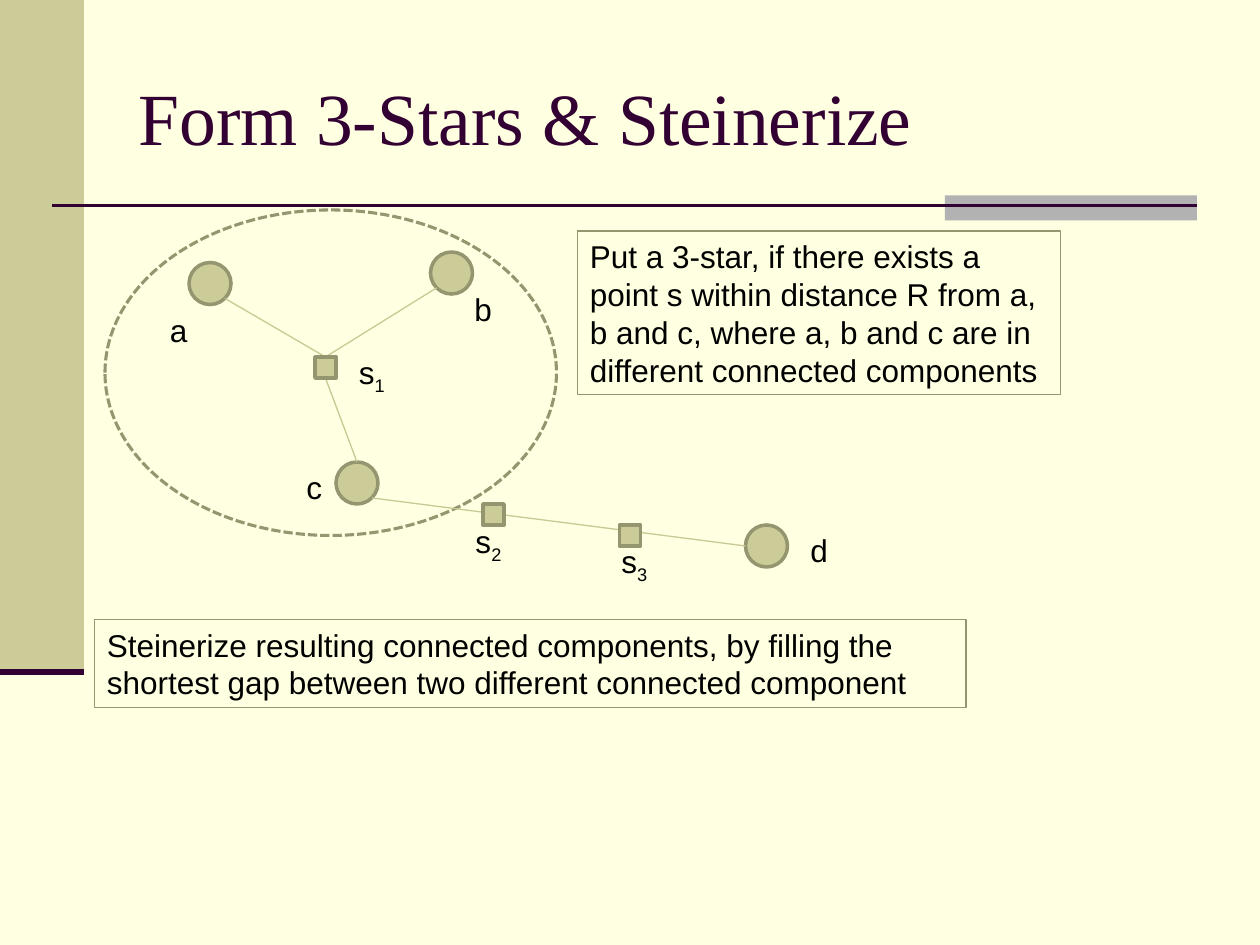
from dataclasses import dataclass

from lxml import etree
from pptx import Presentation
from pptx.dml.color import RGBColor
from pptx.enum.dml import MSO_LINE
from pptx.enum.shapes import MSO_CONNECTOR, MSO_SHAPE
from pptx.enum.text import MSO_ANCHOR, MSO_AUTO_SIZE, PP_ALIGN
from pptx.oxml.ns import qn
from pptx.util import Inches, Pt

OVAL, RECTANGLE = MSO_SHAPE.OVAL, MSO_SHAPE.RECTANGLE
STRAIGHT = MSO_CONNECTOR.STRAIGHT
LEFT, TOP, MIDDLE = PP_ALIGN.LEFT, MSO_ANCHOR.TOP, MSO_ANCHOR.MIDDLE
NO_FIT, GROW = MSO_AUTO_SIZE.NONE, MSO_AUTO_SIZE.SHAPE_TO_FIT_TEXT
DASHED = MSO_LINE.SQUARE_DOT

# The slide is a grid of 120 columns by 90 rows.
COLUMNS, ROWS = 120, 90
SLIDE_WIDTH, SLIDE_HEIGHT = Inches(10), Inches(7.5)
CIRCLE_SIZE, SQUARE_SIZE = 4, 2
DIAGONAL = CIRCLE_SIZE / 2 * 0.71
LABEL_SIZE, SUBSCRIPT_LABEL_SIZE = (4.1, 4.8), (5.2, 5.3)

Point = tuple[float, float]


@dataclass(frozen=True)
class Theme:
    background: str = "FFFFE1"
    dark: str = "330033"
    olive: str = "CCCC99"
    outline: str = "95956F"
    edge: str = "C9C994"
    gray: str = "B2B2B2"
    text: str = "000000"
    title_font: str = "Times New Roman"
    body_font: str = "Arial"
    title_size: float = 42
    body_size: float = 18


@dataclass(frozen=True)
class Box:
    column: float
    row: float
    width: float
    height: float


@dataclass(frozen=True)
class Node:
    center: Point
    label: str
    label_at: Point
    subscript: str = ""


@dataclass(frozen=True)
class Edge:
    start: Point
    end: Point
    color: str
    weight: float


@dataclass(frozen=True)
class Note:
    box: Box
    text: str


THEME = Theme()

A = Node((20, 27), "a", (15, 29))
B = Node((43, 26), "b", (44, 27))
C = Node((34, 46), "c", (28, 44))
D = Node((73, 52), "d", (76, 50))
S1 = Node((31, 35), "s", (33, 33), "1")
S2 = Node((47, 49), "s", (44.1, 49.1), "2")
S3 = Node((60, 51), "s", (58, 51), "3")
TERMINALS = (A, B, C, D)
STEINER_POINTS = (S1, S2, S3)

COMPONENT_RING = Box(10, 20, 43, 31)
NOTES = (
    Note(Box(55, 22, 46, 15.6),
         "Put a 3-star, if there exists a point s within distance R from a, "
         "b and c, where a, b and c are in different connected components"),
    Note(Box(9, 59, 83, 8.4),
         "Steinerize resulting connected components, by filling the "
         "shortest gap between two different connected component"),
)


def x(column: float) -> int:
    return round(SLIDE_WIDTH * column / COLUMNS)


def y(row: float) -> int:
    return round(SLIDE_HEIGHT * row / ROWS)


def place(box: Box) -> tuple[int, int, int, int]:
    return x(box.column), y(box.row), x(box.width), y(box.height)


def color(value: str) -> RGBColor:
    return RGBColor.from_string(value)


def offset(point: Point, columns: float, rows: float) -> Point:
    return point[0] + columns, point[1] + rows


def square_around(center: Point, size: float) -> Box:
    return Box(center[0] - size / 2, center[1] - size / 2, size, size)


def add_block(slide, kind, box: Box, fill: str = "", line: str = "",
              weight: float = 0):
    """Add a preset shape; an empty colour means no fill or no line."""
    shape = slide.shapes.add_shape(kind, *place(box))
    shape.shadow.inherit = False
    if fill:
        shape.fill.solid()
        shape.fill.fore_color.rgb = color(fill)
    else:
        shape.fill.background()
    if line:
        shape.line.color.rgb = color(line)
        shape.line.width = Pt(weight)
    else:
        shape.line.fill.background()
    return shape


def add_edge(slide, edge: Edge) -> None:
    connector = slide.shapes.add_connector(
        STRAIGHT, x(edge.start[0]), y(edge.start[1]),
        x(edge.end[0]), y(edge.end[1]))
    connector.line.color.rgb = color(edge.color)
    connector.line.width = Pt(edge.weight)
    etree.SubElement(connector._element.spPr, qn("a:effectLst"))


def format_text(paragraph, font_name: str, size: float, text_color: str) -> None:
    paragraph.alignment = LEFT
    for run in paragraph.runs:
        run.font.name = font_name
        run.font.size = Pt(size)
        run.font.color.rgb = color(text_color)


def add_label(slide, node: Node) -> None:
    size = SUBSCRIPT_LABEL_SIZE if node.subscript else LABEL_SIZE
    label = slide.shapes.add_textbox(*place(Box(*node.label_at, *size)))
    frame = label.text_frame
    frame.word_wrap = False
    frame.auto_size = NO_FIT if node.subscript else GROW
    paragraph = frame.paragraphs[0]
    paragraph.text = node.label
    if node.subscript:
        frame.word_wrap = True
        frame.margin_right = 0
        run = paragraph.add_run()
        run.text = node.subscript
        run._r.get_or_add_rPr().set("baseline", "-25000")
    format_text(paragraph, THEME.body_font, THEME.body_size, THEME.text)


def add_note(slide, note: Note) -> None:
    shape = add_block(slide, RECTANGLE, note.box, line=THEME.outline, weight=0.75)
    frame = shape.text_frame
    frame.word_wrap = True
    frame.auto_size = GROW
    frame.vertical_anchor = TOP
    frame.text = note.text
    format_text(frame.paragraphs[0], THEME.body_font, THEME.body_size, THEME.text)


def add_frame_and_title(slide) -> None:
    add_block(slide, RECTANGLE, Box(0, 0, 8, 64), THEME.olive)
    add_block(slide, RECTANGLE, Box(90, 18.6, 24, 2.4), THEME.gray)
    add_edge(slide, Edge((5, 19.6), (114, 19.6), THEME.dark, 1.5))
    add_edge(slide, Edge((0, 64), (8, 64), THEME.dark, 3.5))
    title = slide.shapes.title
    title.left, title.top, title.width, title.height = place(Box(12, 3.6, 102, 15))
    frame = title.text_frame
    frame.text = "Form 3-Stars & Steinerize"
    frame.auto_size = NO_FIT
    frame.vertical_anchor = MIDDLE
    format_text(frame.paragraphs[0], THEME.title_font, THEME.title_size, THEME.dark)


def add_graph(slide) -> None:
    for node in TERMINALS:
        add_block(slide, OVAL, square_around(node.center, CIRCLE_SIZE),
                  THEME.olive, THEME.outline, 2)
    ring = add_block(slide, OVAL, COMPONENT_RING, line=THEME.outline, weight=1.75)
    ring.line.dash_style = DASHED
    star_top = offset(S1.center, 0, -SQUARE_SIZE / 2)
    star_bottom = offset(S1.center, 0, SQUARE_SIZE / 2)
    for start, end in (
        (star_top, offset(B.center, -DIAGONAL, DIAGONAL)),
        (star_top, offset(A.center, DIAGONAL, DIAGONAL)),
        (star_bottom, offset(C.center, 0, -CIRCLE_SIZE / 2)),
        (offset(C.center, DIAGONAL, DIAGONAL), offset(D.center, -CIRCLE_SIZE / 2, 0)),
    ):
        add_edge(slide, Edge(start, end, THEME.edge, 0.75))
    for node in STEINER_POINTS:
        add_block(slide, RECTANGLE, square_around(node.center, SQUARE_SIZE),
                  THEME.olive, THEME.outline, 2)
    for node in TERMINALS + STEINER_POINTS:
        add_label(slide, node)


def main() -> None:
    presentation = Presentation()
    presentation.slide_width, presentation.slide_height = SLIDE_WIDTH, SLIDE_HEIGHT
    slide = presentation.slides.add_slide(presentation.slide_layouts[5])
    slide.background.fill.solid()
    slide.background.fill.fore_color.rgb = color(THEME.background)
    add_frame_and_title(slide)
    add_graph(slide)
    for note in NOTES:
        add_note(slide, note)
    presentation.save("out.pptx")


if __name__ == "__main__":
    main()
